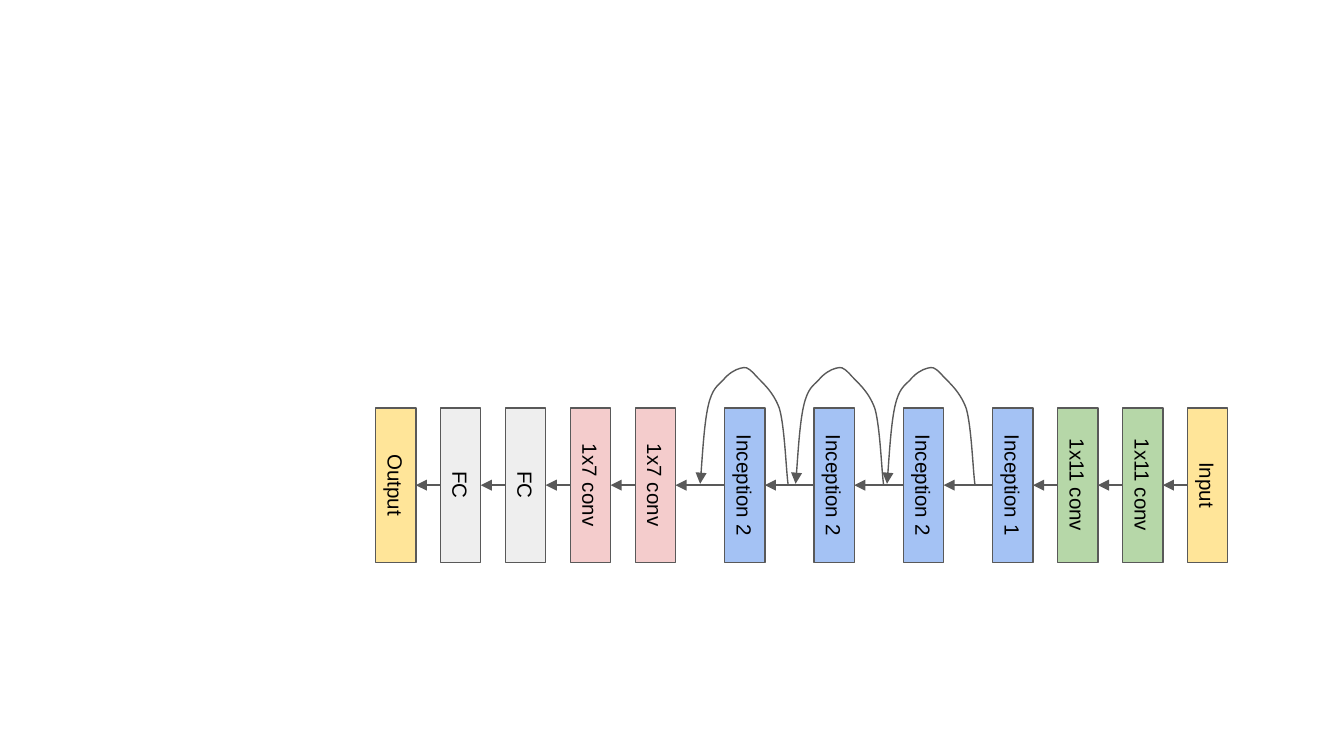
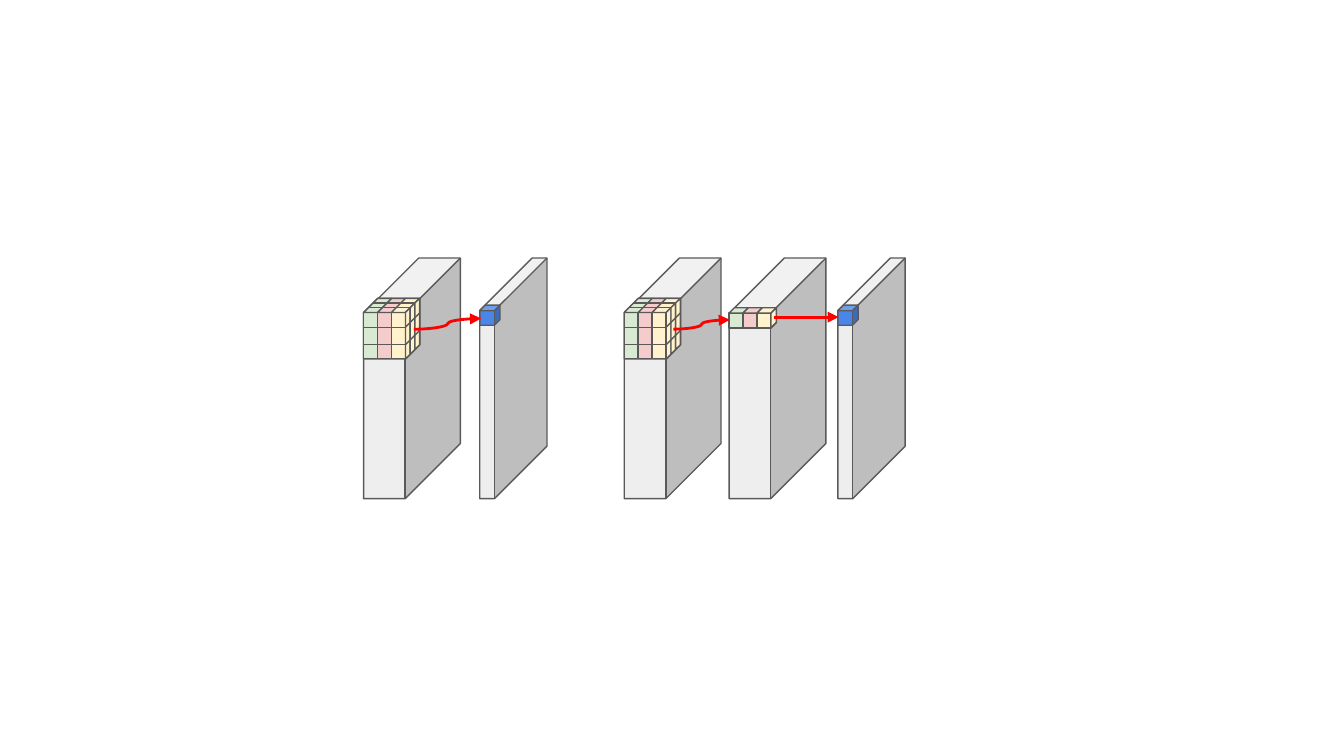
from dataclasses import dataclass
from itertools import pairwise

from lxml.etree import SubElement
from pptx import Presentation
from pptx.dml.color import RGBColor
from pptx.enum.shapes import MSO_CONNECTOR, MSO_SHAPE
from pptx.enum.text import MSO_ANCHOR, PP_ALIGN
from pptx.oxml.ns import qn
from pptx.util import Inches, Pt

WIDTH = 10
HEIGHT = WIDTH * 9 / 16
COLS, ROWS = WIDTH * 10, HEIGHT * 10


@dataclass(frozen=True)
class Theme:
    font: str = "Arial"
    label: float = 11
    thin: float = 0.75
    bold: float = 1.5
    text: str = "000000"
    line: str = "595959"
    flow: str = "FF0000"
    gray: str = "EEEEEE"
    amber: str = "FFE599"
    green: str = "B6D7A8"
    blue: str = "A4C2F4"
    pink: str = "F4CCCC"
    unit: str = "4A86E8"
    channels: tuple = ("D9EAD3", "F4CCCC", "FFF2CC")


def put_text(tf, text, font, size, color, align=PP_ALIGN.CENTER):
    tf.word_wrap = True
    tf.vertical_anchor = MSO_ANCHOR.MIDDLE
    tf.margin_left = tf.margin_right = tf.margin_top = tf.margin_bottom = Inches(0.1)
    p = tf.paragraphs[0]
    p.alignment = align
    r = p.add_run()
    r.text = text
    r.font.name, r.font.size = font, Pt(size)
    r.font.color.rgb = RGBColor.from_string(color)


class Deck:
    """Holds the theme and the current slide; lengths are grid columns and rows."""

    def __init__(self, theme):
        self.theme = theme
        self.prs = Presentation()
        self.prs.slide_width, self.prs.slide_height = Inches(WIDTH), Inches(HEIGHT)
        self.slide = None

    def new_slide(self):
        self.slide = self.prs.slides.add_slide(self.prs.slide_layouts[6])

    def x(self, cols):
        return round(self.prs.slide_width * cols / COLS)

    def y(self, rows):
        return round(self.prs.slide_height * rows / ROWS)

    def stroke(self, sp, color=None, width=None, arrow=False):
        sp.line.color.rgb = RGBColor.from_string(color or self.theme.line)
        sp.line.width = Pt(width or self.theme.thin)
        if arrow:
            ln = sp._element.spPr.find(qn("a:ln"))
            SubElement(ln, qn("a:tailEnd"), type="triangle")

    def paint(self, sp, fill=None, arrow=False):
        sp.shadow.inherit = False
        if fill:
            sp.fill.solid()
            sp.fill.fore_color.rgb = RGBColor.from_string(fill)
        else:
            sp.fill.background()
        self.stroke(sp, arrow=arrow)

    def shape(self, kind, left, top, width, height, fill, adj=None):
        sp = self.slide.shapes.add_shape(
            kind, self.x(left), self.y(top), self.x(width), self.y(height))
        if adj is not None:
            sp.adjustments[0] = adj
        self.paint(sp, fill)
        return sp

    def cube(self, left, top, width, height, depth, fill):
        """Depth is the share of the shorter side that recedes."""
        return self.shape(MSO_SHAPE.CUBE, left, top, width, height, fill, depth)

    def upright_label(self, center, middle, length, thickness, text, fill):
        """Draw a bar turned by 90 degrees around its centre."""
        sp = self.shape(MSO_SHAPE.RECTANGLE, center - length / 2,
                        middle - thickness / 2, length, thickness, fill)
        sp.rotation = 90
        t = self.theme
        put_text(sp.text_frame, text, font=t.font, size=t.label, color=t.text)

    def line(self, start, end, kind=MSO_CONNECTOR.STRAIGHT, **style):
        cn = self.slide.shapes.add_connector(
            kind, self.x(start[0]), self.y(start[1]), self.x(end[0]), self.y(end[1]))
        self.stroke(cn, **style)
        SubElement(cn._element.spPr, qn("a:effectLst"))

    def outline(self, points, fill=None, close=True, arrow=False):
        pts = [(self.x(px), self.y(py)) for px, py in points]
        fb = self.slide.shapes.build_freeform(*pts[0])
        fb.add_line_segments(pts[1:], close=close)
        sp = fb.convert_to_shape()
        self.paint(sp, fill, arrow)
        return sp

    def curve(self, points):
        """Draw an arrow of cubic Béziers: a start, then three points per piece."""
        sp = self.outline(points, close=False, arrow=True)
        path = next(sp._element.iter(qn("a:path")))
        segments = path.findall(qn("a:lnTo"))
        for i in range(0, len(segments), 3):
            bezier = SubElement(path, qn("a:cubicBezTo"))
            for seg in segments[i:i + 3]:
                bezier.append(seg[0])
                path.remove(seg)

    def patch(self, left, top, height, depth, cuts, rows):
        """Draw a three-channel block, cut across its depth and into rows."""
        cell = 1.04
        right = left + 3 * cell
        colors = self.theme.channels
        for i, color in enumerate(colors):
            self.shape(MSO_SHAPE.RECTANGLE, left + i * cell, top, cell, height, color)
        for i, color in enumerate(colors):
            self.shape(MSO_SHAPE.PARALLELOGRAM, left + i * cell, top - depth,
                       cell + depth, depth, color, 1)
        for d in cuts:
            self.line((left + d, top - d), (right + d, top - d))
        for near, far in pairwise(sorted({0, *cuts, depth})):
            self.outline([(right + far, top - far), (right + far, top + height - far),
                          (right + near, top + height - near), (right + near, top - near)],
                         fill=colors[-1])
        for row in rows:
            self.line((left, top + row), (right, top + row))
            self.line((right, top + row), (right + depth, top + row - depth))


def network_slide(s):
    t = s.theme
    axis, length, thickness = 36.1, 11.5, 3
    near, wide = 4.83, 6.65
    layers = [  # label, fill, step from the layer before
        ("Input", t.amber, 0), ("1x11 conv", t.green, near), ("1x11 conv", t.green, near),
        ("Inception 1", t.blue, near), ("Inception 2", t.blue, wide),
        ("Inception 2", t.blue, wide), ("Inception 2", t.blue, wide),
        ("1x7 conv", t.pink, wide), ("1x7 conv", t.pink, near),
        ("FC", t.gray, near), ("FC", t.gray, near), ("Output", t.amber, near),
    ]
    s.new_slide()
    center, centers = 89.85, []
    for text, fill, step in layers:
        center -= step
        centers.append(center)
        s.upright_label(center, axis, length, thickness, text, fill)
    for a, b in pairwise(centers):
        s.line((a - thickness / 2, axis), (b + thickness / 2, axis), arrow=True)

    skip = [(6.55, 8.8), (6.4, 7.8), (6.3, 4.5), (5.9, 3.1), (5.4, 1.7), (4.4, 1),
            (4, 0.5), (3.5, 0), (3.4, 0), (3, 0.1), (2.6, 0.2), (2.1, 0.5), (1.7, 1),
            (1.3, 1.4), (0.9, 1.6), (0.6, 2.9), (0.3, 4.2), (0.1, 7.7), (0, 8.7)]
    for left in (59.2, 66, 52.1):
        s.curve([(left + dx, 27.3 + dy) for dx, dy in skip])


def convolution_slide(s):
    t = s.theme
    top, height = 19.2, 17.9
    inputs, middle, outputs = (27.05, 46.45), 54.25, (35.7, 62.35)
    s.new_slide()
    for left in (*inputs, middle):
        s.cube(left, top, 7.2, height, 0.57, t.gray)
    for left in outputs:
        s.cube(left, top, 5, height, 0.78, t.gray)
    for left in inputs:
        s.cube(left, 22.2, 4.2, 4.5, 0.25, t.gray)
        s.patch(left, 23.25, 3.45, 1.05, cuts=(0.35, 0.7), rows=(1.1, 2.4))
    s.patch(middle, 23.3, 1.1, 0.4, cuts=(0.4,), rows=(1.1,))
    for left in outputs:
        s.cube(left, 22.7, 1.5, 1.5, 0.28, t.unit)
    for start, end in [((30.8, 24.5), (35.8, 23.7)), ((50.1, 24.5), (54.3, 23.8)),
                       ((57.6, 23.6), (62.4, 23.6))]:
        s.line(start, end, MSO_CONNECTOR.CURVE, color=t.flow, width=t.bold, arrow=True)


def main():
    s = Deck(Theme())
    network_slide(s)
    convolution_slide(s)
    s.prs.save("out.pptx")


if __name__ == "__main__":
    main()
